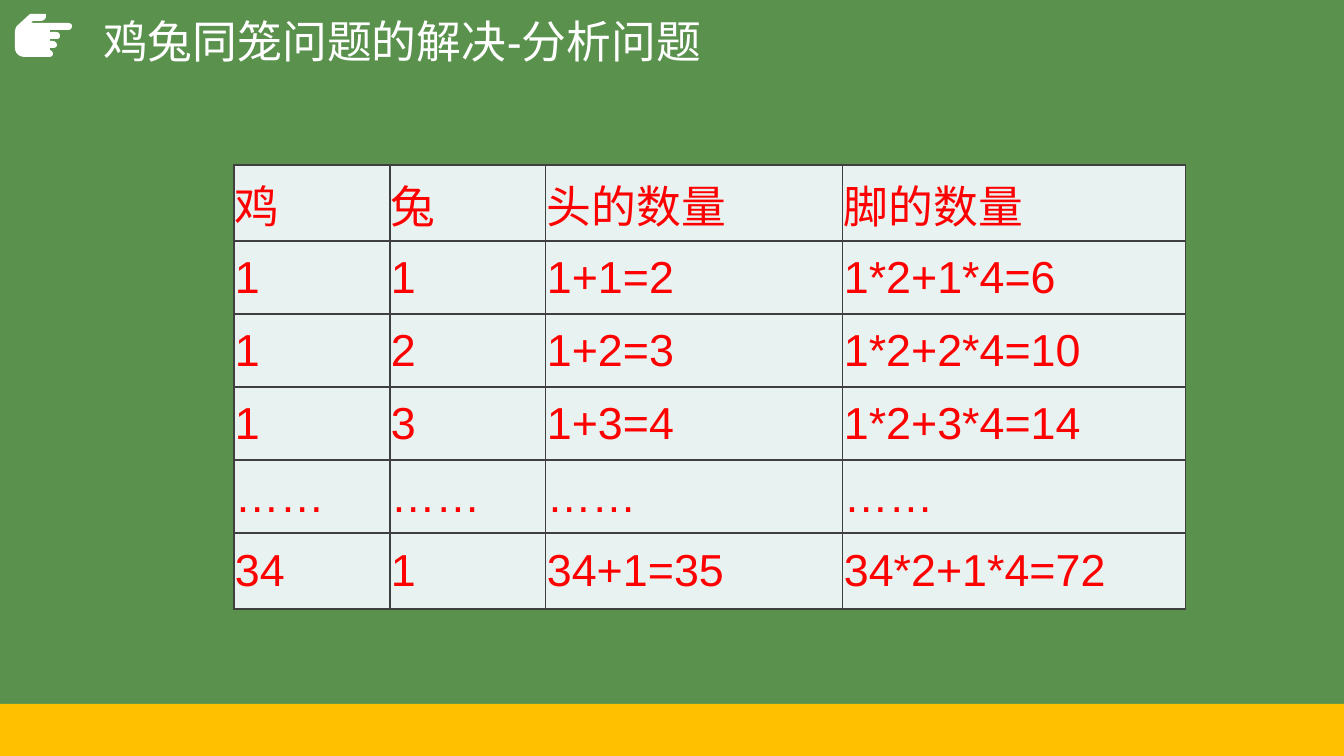
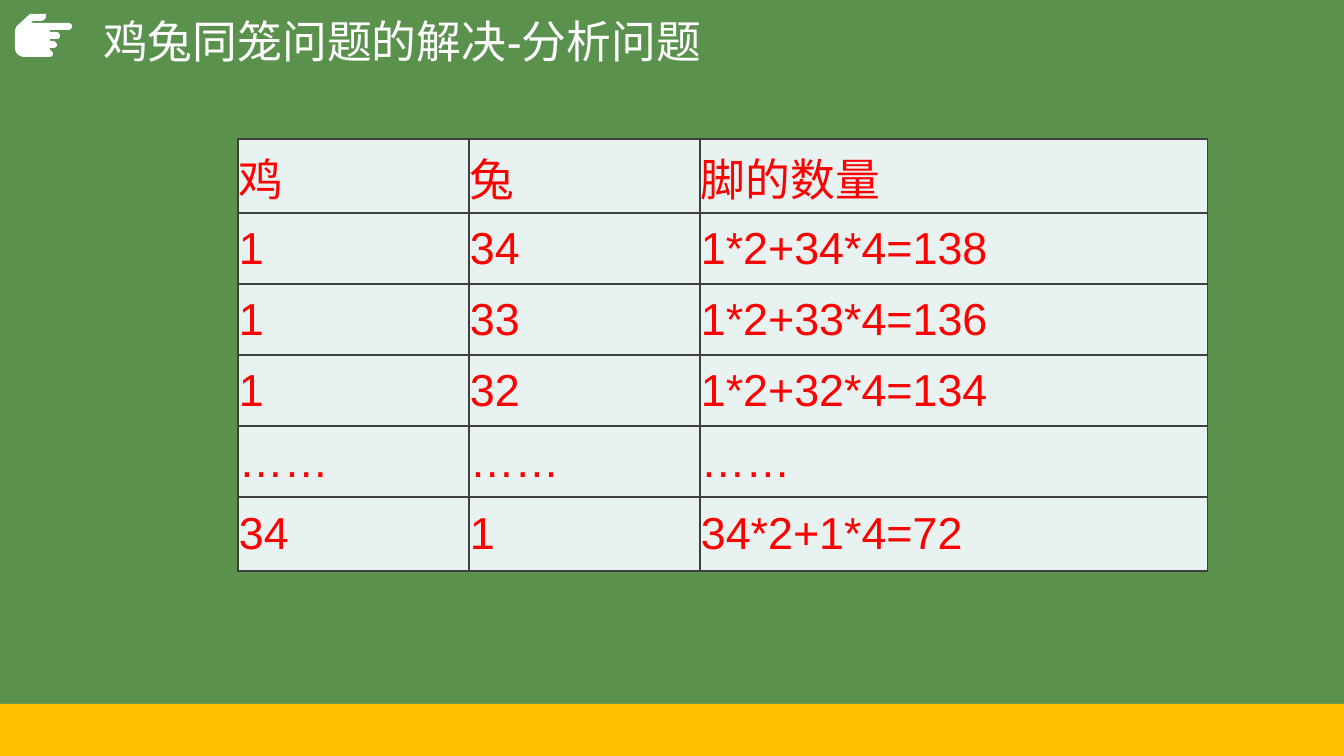
from lxml import etree
from pptx import Presentation
from pptx import util as u
from pptx.dml.color import RGBColor
from pptx.enum import shapes, text
from pptx.oxml import ns

PX = 914400 / 100.8
WIDE, HIGH = 1344, 756
FONT = "Arial"
HUE = {
    "board": "5A914D",
    "band": "FFC000",
    "white": "FFFFFF",
    "cell": "E8F2F0",
    "ink": "FF0000",
    "rule": "3F3F3F",
}

TITLE = "鸡兔同笼问题的解决-分析问题"
DOTS = "……"
SLIDES = [
    {
        "at": (234, 165),
        "cols": (156, 156, 297, 343),
        "ends": 76,
        "mid": 73,
        "rows": [
            ("鸡", "兔", "头的数量", "脚的数量"),
            ("1", "1", "1+1=2", "1*2+1*4=6"),
            ("1", "2", "1+2=3", "1*2+2*4=10"),
            ("1", "3", "1+3=4", "1*2+3*4=14"),
            (DOTS,) * 4,
            ("34", "1", "34+1=35", "34*2+1*4=72"),
        ],
    },
    {
        "at": (238, 139),
        "cols": (231, 231, 508),
        "ends": 74,
        "mid": 71,
        "rows": [
            ("鸡", "兔", "脚的数量"),
            ("1", "34", "1*2+34*4=138"),
            ("1", "33", "1*2+33*4=136"),
            ("1", "32", "1*2+32*4=134"),
            (DOTS,) * 3,
            ("34", "1", "34*2+1*4=72"),
        ],
    },
]

# Two numbers are a line's end; six are a cubic curve's controls and end.
HAND = [
    (53, 54), (53, 52, 52, 51, 50, 50), (50, 48), (53, 48),
    (55, 48, 57, 47, 57, 45), (57, 43, 55, 41, 53, 41), (50, 41),
    (50, 39), (56, 39), (59, 39, 60, 38, 60, 36), (60, 34, 59, 32, 56, 32),
    (50, 32), (50, 30), (68, 30), (70, 30, 72, 29, 72, 26),
    (72, 24, 70, 23, 68, 23), (31, 23), (33, 21), (40, 21),
    (44, 21, 46, 19, 46, 16), (46, 14), (30, 14), (17, 26),
    (16, 27, 15, 30, 15, 32), (15, 48), (15, 53, 19, 57, 25, 57),
    (49, 57), (51, 57, 53, 56, 53, 54),
]


def px(n):
    return u.Emu(round(n * PX))


def paint(fill, hue):
    fill.solid()
    fill.fore_color.rgb = RGBColor.from_string(HUE[hue])


def write(frame, words, *, hue, size=32, space=None):
    para = frame.paragraphs[0]
    para.alignment = text.PP_ALIGN.LEFT
    para.line_spacing = space
    run = para.add_run()
    run.text = words
    run.font.name = FONT
    run.font.size = u.Pt(size)
    run.font.bold = False
    run.font.color.rgb = RGBColor.from_string(HUE[hue])


def trace(segs, steps=6):
    """Turn lines and cubic curves into a list of EMU points."""
    dots = [segs[0]]
    for seg in segs[1:]:
        if len(seg) == 2:
            dots.append(seg)
            continue
        ctrl = [dots[-1], seg[:2], seg[2:4], seg[4:]]
        for i in range(1, steps + 1):
            t = i / steps
            mix = ((1 - t) ** 3, 3 * t * (1 - t) ** 2,
                   3 * t * t * (1 - t), t ** 3)
            dots.append(tuple(sum(m * c[k] for m, c in zip(mix, ctrl))
                              for k in (0, 1)))
    return [(px(x), px(y)) for x, y in dots]


def dress(deck, layout, slide):
    """Set the background, and move the band and hand to the layout."""
    paint(deck.slide_master.background.fill, "board")
    band = slide.shapes.add_shape(shapes.MSO_SHAPE.RECTANGLE,
                                  0, px(704), px(WIDE), px(HIGH - 704))
    dots = trace(HAND)
    pen = slide.shapes.build_freeform(*dots[0], scale=1.0)
    pen.add_line_segments(dots[1:], close=True)
    for shape, hue in ((band, "band"), (pen.convert_to_shape(), "white")):
        paint(shape.fill, hue)
        shape.line.fill.background()
        shape.shadow.inherit = False
        layout.shapes.element.append(shape.element)


def head(slide):
    box = slide.shapes.title
    box.left, box.top, box.width, box.height = map(px, (93, 9, 1159, 69))
    frame = box.text_frame
    frame.auto_size = text.MSO_AUTO_SIZE.NONE
    frame.vertical_anchor = text.MSO_ANCHOR.MIDDLE
    write(frame, TITLE, hue="white", space=0.9)


def edge(cell):
    props = cell._tc.get_or_add_tcPr()
    for side in ("lnL", "lnR", "lnT", "lnB"):
        line = etree.SubElement(props, ns.qn("a:" + side), w=str(u.Pt(1)))
        fill = etree.SubElement(line, ns.qn("a:solidFill"))
        etree.SubElement(fill, ns.qn("a:srgbClr"), val=HUE["rule"])


def grid(slide, data):
    rows, cols = data["rows"], data["cols"]
    highs = [data["ends"], *[data["mid"]] * (len(rows) - 2), data["ends"]]
    left, top = data["at"]
    table = slide.shapes.add_table(
        len(rows), len(cols), px(left), px(top),
        px(sum(cols)), px(sum(highs))).table
    table.first_row = table.horz_banding = False
    for col, wide in zip(table.columns, cols):
        col.width = px(wide)
    for row, high, words in zip(table.rows, highs, rows):
        row.height = px(high)
        for cell, word in zip(row.cells, words):
            edge(cell)
            paint(cell.fill, "cell")
            cell.margin_left = cell.margin_right = cell.margin_top = px(1)
            cell.margin_bottom = 0
            cell.vertical_anchor = text.MSO_ANCHOR.MIDDLE
            write(cell.text_frame, word, hue="ink")


def main():
    deck = Presentation()
    deck.slide_width, deck.slide_height = px(WIDE), px(HIGH)
    layout = deck.slide_layouts.get_by_name("Title Only")
    for i, data in enumerate(SLIDES):
        slide = deck.slides.add_slide(layout)
        if i == 0:
            dress(deck, layout, slide)
        head(slide)
        grid(slide, data)
    deck.save("out.pptx")


if __name__ == "__main__":
    main()
